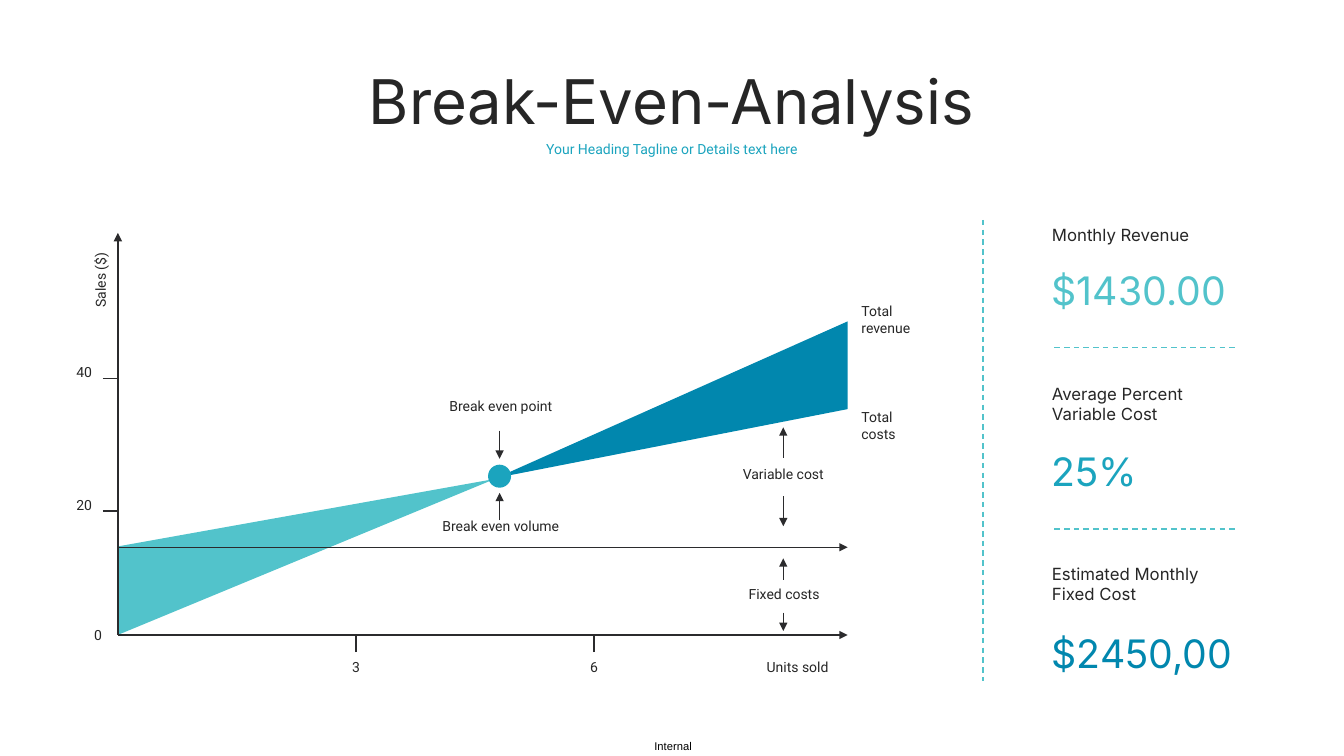
from pptx import Presentation
from pptx.dml.color import RGBColor
from pptx.enum import dml, shapes, text
from pptx.oxml import ns
from pptx.util import Cm, Pt
from lxml import etree

# Content, lengths in cm
INK, AXIS, BLACK = "262626", "2B2B2D", "000000"
LIGHT, TEAL, BLUE = "52C3CB", "1BA4BE", "0187AE"
LEFT, CENTER, RIGHT = text.PP_ALIGN.LEFT, text.PP_ALIGN.CENTER, text.PP_ALIGN.RIGHT

# Text, left, top, width, height, size, font, colour
HEADINGS = [
    ("Break-Even-Analysis", 8.46, 1.45, 16.94, 2.13, 44, "Inter", INK),
    ("Your Heading Tagline or Details text here", 13.36, 3.4, 7.14, 0.69, 10, "Roboto", TEAL),
    ("Internal", 15.43, 18.49, 3.07, 0.43, 8, "Arial", BLACK),
]

ORIGIN_X, BASE_Y, END_X, TOP_Y, FIXED_Y = 2.97, 16.0, 21.36, 5.87, 13.79
UNIT = 2.0
UNITS_SOLD = [3, 6]
SALES_TICKS = {"20": 12.88, "40": 9.53}
BREAK_X, BREAK_Y, DOT = 12.59, 12.0, 0.58
COST_X = 19.74

WEDGES = [
    (LIGHT, [(ORIGIN_X, 13.77), (12.47, 12.07), (ORIGIN_X, BASE_Y)]),
    (BLUE, [(END_X, 10.31), (12.52, 12.04), (END_X, 8.1)]),
]
# x, start y, end y
ARROWS = [
    (COST_X, 11.53, 10.77), (COST_X, 12.5, 13.26),
    (COST_X, 14.61, 14.07), (COST_X, 15.44, 15.9),
    (BREAK_X, 10.85, 11.56), (BREAK_X, 13.11, 12.42),
]
# Text, centre x, top
CENTERED_LABELS = [
    ("Units sold", 20.1, 16.46), ("Fixed costs", 19.76, 14.63),
    ("Variable cost", COST_X, 11.61),
    ("Break even volume", 12.62, 12.9), ("Break even point", 12.62, 9.88),
]
# Lines, top, width
END_LABELS = [(["Total", "costs"], 10.16, 1.83), (["Total revenue"], 7.49, 2.34)]

# Label, label top, label height, value, colour
FIGURES = [
    ("Monthly Revenue", 5.54, 0.76, "$1430.00", LIGHT),
    ("Average Percent Variable Cost", 9.53, 1.27, "25%", TEAL),
    ("Estimated Monthly Fixed Cost", 14.07, 1.27, "$2450,00", BLUE),
]
PANEL_X, VALUE_Y, DIVIDER_Y, FIGURE_STEP = 26.26, 6.58, 8.76, 4.57

deck = Presentation()
deck.slide_width, deck.slide_height = Cm(33.87), Cm(19.05)
page = deck.slides.add_slide(deck.slide_layouts[6])


def color(value):
    return RGBColor.from_string(value)


def paint(shape, fill):
    shape.shadow.inherit = False
    shape.fill.solid()
    shape.fill.fore_color.rgb = color(fill)
    shape.line.fill.background()


def add_text(lines, left, top, width, height=0.69, size=10, font="Roboto",
             ink=INK, align=LEFT):
    box = page.shapes.add_textbox(Cm(left), Cm(top), Cm(width), Cm(height))
    frame = box.text_frame
    frame.word_wrap = True
    frame.margin_left = frame.margin_right = Cm(0.25)
    frame.margin_top = frame.margin_bottom = Cm(0.13)
    for index, line in enumerate(lines):
        para = frame.add_paragraph() if index else frame.paragraphs[0]
        para.alignment = align
        span = para.add_run()
        span.text = line
        span.font.name = font
        span.font.size = Pt(size)
        span.font.color.rgb = color(ink)
    return box


def add_line(x1, y1, x2, y2, ink=AXIS, arrow=False, dashed=False):
    line = page.shapes.add_connector(
        shapes.MSO_CONNECTOR.STRAIGHT, Cm(x1), Cm(y1), Cm(x2), Cm(y2))
    line.line.width = Pt(1)
    line.line.color.rgb = color(ink)
    if dashed:
        line.line.dash_style = dml.MSO_LINE.DASH
    if arrow:
        etree.SubElement(line.line._get_or_add_ln(), ns.qn("a:tailEnd"), type="triangle")
    etree.SubElement(line._element.spPr, ns.qn("a:effectLst"))


# Headings and footer
for words, left, top, width, height, size, font, ink in HEADINGS:
    add_text([words], left, top, width, height, size, font, ink, CENTER)

# Loss and profit wedges with the break-even dot
for fill, points in WEDGES:
    corners = [(Cm(x), Cm(y)) for x, y in points]
    builder = page.shapes.build_freeform(*corners[0])
    builder.add_line_segments(corners[1:], close=True)
    paint(builder.convert_to_shape(), fill)
dot = page.shapes.add_shape(
    shapes.MSO_SHAPE.OVAL, Cm(BREAK_X - DOT / 2), Cm(BREAK_Y - DOT / 2), Cm(DOT), Cm(DOT))
paint(dot, TEAL)

# Axes and ticks
add_line(ORIGIN_X, BASE_Y, ORIGIN_X, TOP_Y, arrow=True)
for y in (BASE_Y, FIXED_Y):
    add_line(ORIGIN_X, y, END_X, y, arrow=True)
for words, y in SALES_TICKS.items():
    add_line(ORIGIN_X - 0.38, y, ORIGIN_X, y)
    add_text([words], 1.32, y - 0.51, 1.25, align=RIGHT)
add_text(["0"], 1.73, 15.65, 1.09, align=RIGHT)
for units in UNITS_SOLD:
    x = ORIGIN_X + units * UNIT
    add_line(x, BASE_Y + 0.43, x, BASE_Y)
    add_text([str(units)], x - 0.55, 16.46, 1.1, align=CENTER)
sales = add_text(["Sales ($)"], 1.25, 6.71, 2.56, align=CENTER)
sales.rotation = 270

# Chart notes
for x, start, end in ARROWS:
    add_line(x, start, x, end, arrow=True)
for words, center, top in CENTERED_LABELS:
    add_text([words], center - 2.2, top, 4.4, align=CENTER)
for lines, top, width in END_LABELS:
    add_text(lines, 21.46, top, width, 1.12)

# Key figures
add_line(24.77, 5.54, 24.77, 17.15, LIGHT, dashed=True)
for index, (label, top, height, value, ink) in enumerate(FIGURES):
    offset = index * FIGURE_STEP
    add_text([label], PANEL_X, top, 4.34, height, 12, "Inter")
    add_text([value], PANEL_X, VALUE_Y + offset, 5.69, 1.45, 28, "Inter", ink)
    if index < len(FIGURES) - 1:
        y = DIVIDER_Y + offset
        add_line(26.57, y, 31.14, y, LIGHT, dashed=True)

deck.save("out.pptx")
